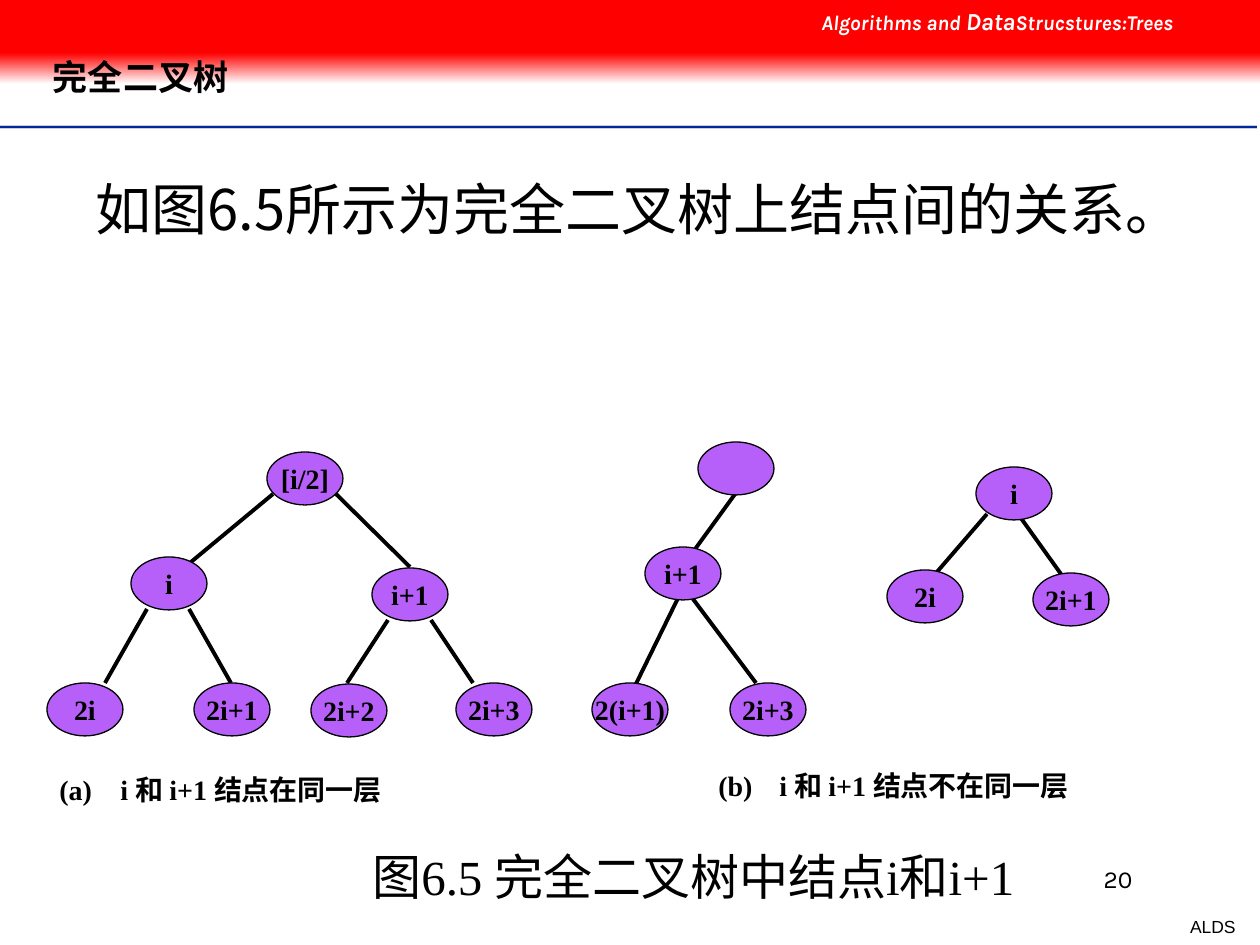
from lxml.etree import SubElement
from pptx import Presentation
from pptx.dml.color import RGBColor
from pptx.enum.shapes import MSO_CONNECTOR, MSO_SHAPE
from pptx.enum.text import MSO_ANCHOR, MSO_AUTO_SIZE, PP_ALIGN
from pptx.oxml.ns import qn
from pptx.util import Emu, Pt

BLACK = RGBColor(0x00, 0x00, 0x00)
WHITE = RGBColor(0xFF, 0xFF, 0xFF)
RED = RGBColor(0xFF, 0x00, 0x00)
GREY = RGBColor(0xCE, 0xCE, 0xCE)
BLUE = RGBColor(0x00, 0x27, 0x9F)
PURPLE = RGBColor(0xB7, 0x60, 0xF9)

SERIF = "Times New Roman"
HAN = "Noto Sans CJK SC"

RULES = [(127, GREY, 2), (127, BLUE, 1), (130, WHITE, 1)]
EDGES = [
    (273, 494, 179, 572), (147, 609, 105, 683), (189, 609, 231, 683),
    (336, 494, 410, 567), (388, 620, 347, 683), (431, 620, 473, 683),
    (746, 479, 693, 552), (683, 588, 633, 690), (693, 599, 756, 683),
    (987, 514, 937, 572), (1018, 514, 1071, 588),
]
NODES = [
    (267, 452, "[i/2]"), (131, 557, "i"), (372, 568, "i+1"),
    (47, 683, "2i"), (194, 683, "2i+1"), (311, 684, "2i+2"), (456, 683, "2i+3"),
    (698, 442, ""), (645, 547, "i+1"), (592, 683, "2(i+1)"), (730, 683, "2i+3"),
    (976, 467, "i"), (887, 570, "2i"), (1033, 573, "2i+1"),
]
NOTES = [
    (47, 766, 373, "(a)\ti 和 i+1 结点在同一层"),
    (706, 762, 396, "(b)\ti 和 i+1 结点不在同一层"),
]


def px(*sizes):
    """Turn px lengths into EMU."""
    return [Emu(size * 914400 // 126) for size in sizes]


class Board:
    """Holds the style and the current slide."""

    def __init__(self, slide):
        self.slide = slide
        self.size = (76, 53)

    def run(self, para, text, size, font=SERIF, color=BLACK, bold=False, slant=False):
        """Add one styled run."""
        run = para.add_run()
        run.text = text
        run.font.size = Pt(size)
        run.font.name = font
        run.font.color.rgb = color
        run.font.bold = bold
        run.font.italic = slant
        SubElement(run.font._element, qn("a:ea")).set("typeface", HAN)

    def text(self, box, runs, align=PP_ALIGN.LEFT, wrap=False, grow=True, before=0, **style):
        """Add a text box made of (text, size) runs."""
        frame = self.slide.shapes.add_textbox(*px(*box)).text_frame
        frame.word_wrap = wrap
        frame.auto_size = MSO_AUTO_SIZE.SHAPE_TO_FIT_TEXT if grow else MSO_AUTO_SIZE.NONE
        para = frame.paragraphs[0]
        para.alignment = align
        para.space_before = Pt(before)
        for text, size in runs:
            self.run(para, text, size, **style)
        return frame

    def note(self, left, top, width, text):
        """Add a bold caption with a tab stop after its mark."""
        frame = self.text((left, top, width, 47), [(text, 16)], bold=True)
        stops = SubElement(frame.paragraphs[0]._p.get_or_add_pPr(), qn("a:tabLst"))
        stop = SubElement(stops, qn("a:tab"))
        stop.set("pos", str(px(61)[0]))
        stop.set("algn", "l")

    def title(self, box, text):
        """Add the slide heading."""
        frame = self.text(box, [(text, 20)], wrap=True, grow=False, font=HAN, bold=True)
        frame.margin_left = frame.margin_right = frame.margin_top = frame.margin_bottom = 0
        frame.vertical_anchor = MSO_ANCHOR.MIDDLE
        frame.paragraphs[0].line_spacing = 0.9

    def line(self, ends, color=BLACK, width=2.25):
        """Add a straight line."""
        line = self.slide.shapes.add_connector(MSO_CONNECTOR.STRAIGHT, *px(*ends))
        line.line.color.rgb = color
        line.line.width = Pt(width)
        SubElement(line._element.spPr, qn("a:effectLst"))

    def band(self, box, *colors):
        """Add a bar, plain or fading downward."""
        bar = self.slide.shapes.add_shape(MSO_SHAPE.RECTANGLE, *px(*box))
        bar.shadow.inherit = False
        bar.line.fill.background()
        if len(colors) == 1:
            bar.fill.solid()
            bar.fill.fore_color.rgb = colors[0]
            return
        bar.fill.gradient()
        bar.fill.gradient_angle = 270
        for spot, (stop, color) in enumerate(zip(bar.fill.gradient_stops, colors)):
            stop.position = spot
            stop.color.rgb = color

    def node(self, left, top, text):
        """Add a tree node."""
        node = self.slide.shapes.add_shape(MSO_SHAPE.OVAL, *px(left, top, *self.size))
        node.shadow.inherit = False
        node.fill.solid()
        node.fill.fore_color.rgb = PURPLE
        node.line.color.rgb = BLACK
        node.line.width = Pt(0.75)
        if text:
            frame = node.text_frame
            frame.word_wrap = False
            frame.vertical_anchor = MSO_ANCHOR.MIDDLE
            frame.paragraphs[0].alignment = PP_ALIGN.CENTER
            self.run(frame.paragraphs[0], text, 16, bold=True)


def main():
    """Build the slide and save it."""
    deck = Presentation()
    deck.slide_width, deck.slide_height = px(1260, 945)
    board = Board(deck.slides.add_slide(deck.slide_layouts[6]))

    for top, color, width in RULES:
        board.line((0, top, 1257, top), color, width)
    board.text((1177, 910, 71, 34), [("ALDS", 10)], PP_ALIGN.RIGHT, before=6.2, font="Arial")
    board.text((903, 858, 242, 63), [("20", 14)], PP_ALIGN.RIGHT, True, False, font="Karla")
    board.band((0, 53, 1260, 31), RED, WHITE)
    board.band((0, 0, 1260, 53), RED)
    head = [("Algorithms and ", 12), ("Data", 14), ("Strucstures:Trees", 12)]
    board.text((809, 0, 451, 43), head, wrap=True, before=7.5,
               font="Karla", color=WHITE, bold=True, slant=True)

    for edge in EDGES:
        board.line(edge)
    for node in NODES:
        board.node(*node)
    for note in NOTES:
        board.note(*note)
    board.text((360, 840, 726, 72), [("图6.5 完全二叉树中结点i和i+1", 28)])
    board.text((83, 168, 1162, 161), [("如图6.5所示为完全二叉树上结点间的关系。", 32)],
               before=8, font=HAN)
    board.title((53, 0, 1071, 158), "完全二叉树")
    deck.save("out.pptx")


if __name__ == "__main__":
    main()
